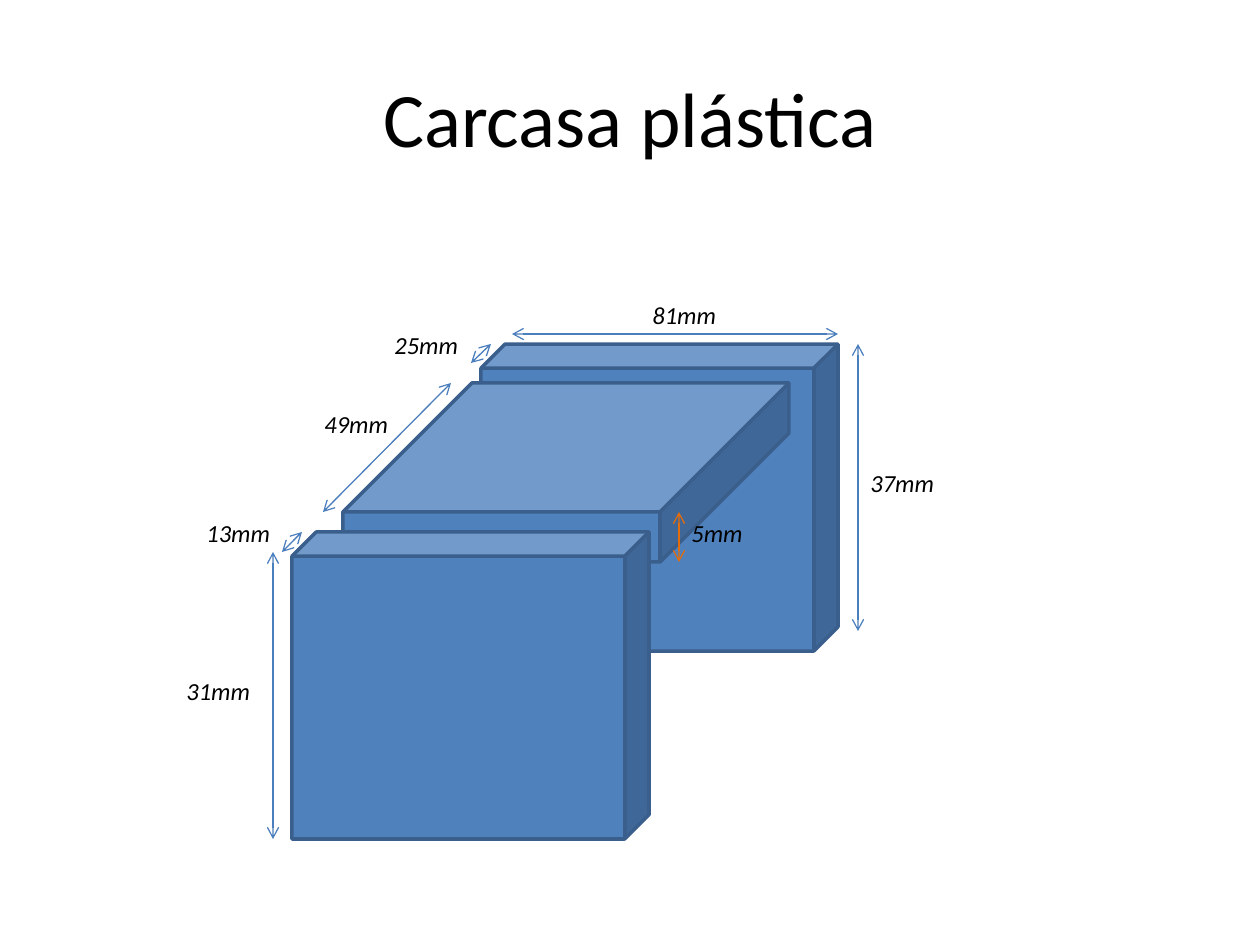
"""Build a slide showing the dimensions of a plastic casing."""
from dataclasses import dataclass

from lxml import etree
from pptx import Presentation
from pptx.dml.color import RGBColor
from pptx.enum.shapes import MSO_CONNECTOR, MSO_SHAPE
from pptx.enum.text import MSO_ANCHOR, MSO_AUTO_SIZE, PP_ALIGN
from pptx.oxml.ns import qn
from pptx.util import Emu, Pt

CUBE = MSO_SHAPE.CUBE
STRAIGHT = MSO_CONNECTOR.STRAIGHT
MIDDLE = MSO_ANCHOR.MIDDLE
FIT_SHAPE = MSO_AUTO_SIZE.SHAPE_TO_FIT_TEXT
LEFT, CENTER = PP_ALIGN.LEFT, PP_ALIGN.CENTER

BLACK = RGBColor(0x00, 0x00, 0x00)
CUBE_FILL = RGBColor(0x4F, 0x81, 0xBD)
CUBE_EDGE = RGBColor(0x3A, 0x5F, 0x8C)
BLUE = RGBColor(0x4B, 0x7E, 0xBC)
ORANGE = RGBColor(0xE4, 0x6C, 0x0A)

FONT = "Calibri"
EMU_PER_PX = 914400 / 126
LABEL_HEIGHT = 43


@dataclass(frozen=True)
class Block:
    left: int
    top: int
    width: int
    height: int
    depth: float


@dataclass(frozen=True)
class Dimension:
    text: str
    start: tuple[int, int]
    end: tuple[int, int]
    label: tuple[int, int]
    label_width: int = 89
    color: RGBColor = BLUE


BLOCKS = (
    Block(481, 344, 357, 307, 0.079),
    Block(343, 383, 446, 179, 0.72),
    Block(292, 532, 357, 307, 0.079),
)

DIMENSIONS = (
    Dimension("81mm", (512, 334), (838, 334), (640, 294)),
    Dimension("37mm", (858, 631), (858, 344), (858, 462)),
    Dimension("25mm", (491, 344), (471, 363), (382, 324)),
    Dimension("49mm", (451, 383), (323, 512), (312, 403)),
    Dimension("31mm", (273, 839), (273, 552), (174, 670)),
    Dimension("13mm", (302, 532), (282, 552), (194, 512)),
    Dimension("5mm", (679, 562), (679, 512), (679, 512), 77, ORANGE),
)


def px(*lengths: int) -> list[Emu]:
    """Turn pixel lengths into EMU."""
    return [Emu(round(length * EMU_PER_PX)) for length in lengths]


def write_text(text_frame, text: str, *, size: int, italic: bool = False, align=LEFT) -> None:
    """Write one formatted line into a text frame."""
    paragraph = text_frame.paragraphs[0]
    paragraph.alignment = align
    run = paragraph.add_run()
    run.text = text
    run.font.name = FONT
    run.font.size = Pt(size)
    run.font.italic = italic
    run.font.color.rgb = BLACK


def add_title(slide, text: str) -> None:
    """Place and fill the title placeholder."""
    title = slide.shapes.title
    title.left, title.top, title.width, title.height = px(63, 38, 1134, 157)
    title.text_frame.vertical_anchor = MIDDLE
    write_text(title.text_frame, text, size=44, align=CENTER)


def add_block(slide, block: Block) -> None:
    """Draw one part of the casing as a cube."""
    shape = slide.shapes.add_shape(CUBE, *px(block.left, block.top, block.width, block.height))
    shape.adjustments[0] = block.depth
    shape.shadow.inherit = False
    shape.fill.solid()
    shape.fill.fore_color.rgb = CUBE_FILL
    shape.line.color.rgb = CUBE_EDGE
    shape.line.width = Pt(2)


def add_dimension(slide, dimension: Dimension) -> None:
    """Draw a double-headed arrow and its measurement."""
    connector = slide.shapes.add_connector(STRAIGHT, *px(*dimension.start, *dimension.end))
    connector.line.color.rgb = dimension.color
    connector.line.width = Pt(0.75)
    properties = connector.element.spPr
    line = properties.find(qn("a:ln"))
    for end in ("a:headEnd", "a:tailEnd"):
        etree.SubElement(line, qn(end), type="arrow")
    etree.SubElement(properties, qn("a:effectLst"))

    label = slide.shapes.add_textbox(*px(*dimension.label, dimension.label_width, LABEL_HEIGHT))
    label.text_frame.word_wrap = False
    label.text_frame.auto_size = FIT_SHAPE
    write_text(label.text_frame, dimension.text, size=14, italic=True)


def main() -> None:
    """Build and save the presentation."""
    presentation = Presentation()
    presentation.slide_width, presentation.slide_height = px(1260, 945)
    slide = presentation.slides.add_slide(presentation.slide_layouts[5])
    add_title(slide, "Carcasa plástica")
    for block in BLOCKS:
        add_block(slide, block)
    for dimension in DIMENSIONS:
        add_dimension(slide, dimension)
    presentation.save("out.pptx")


if __name__ == "__main__":
    main()
